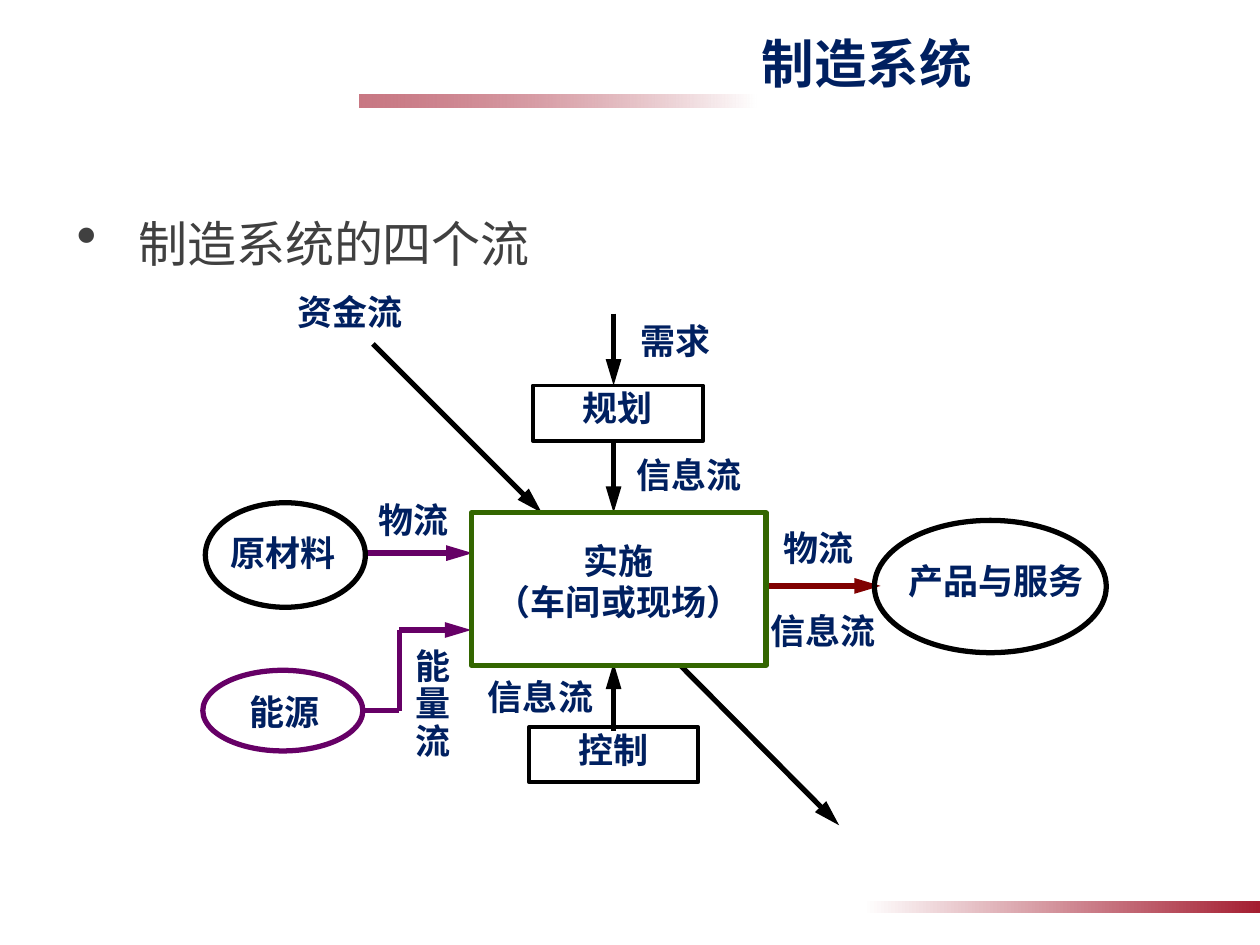
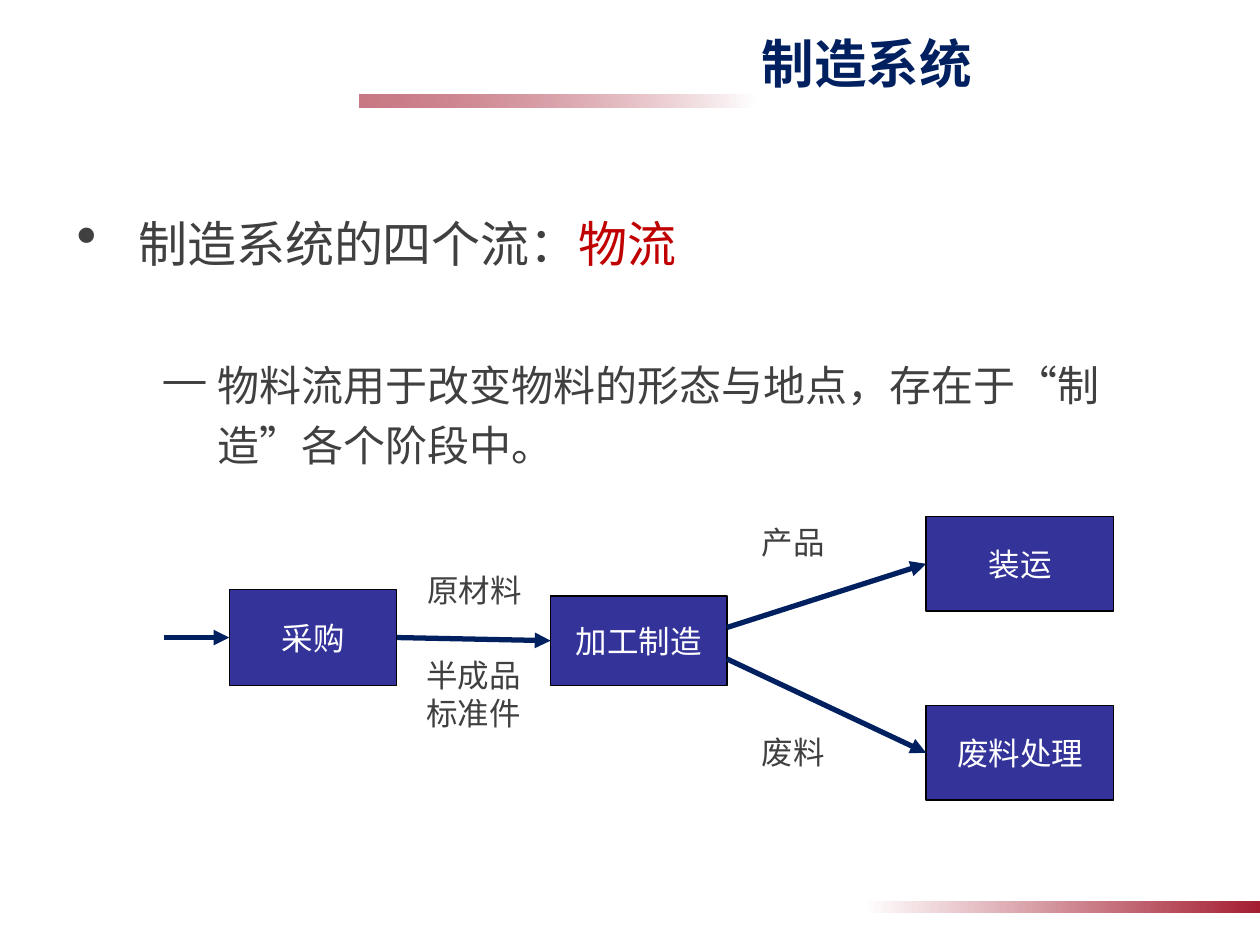
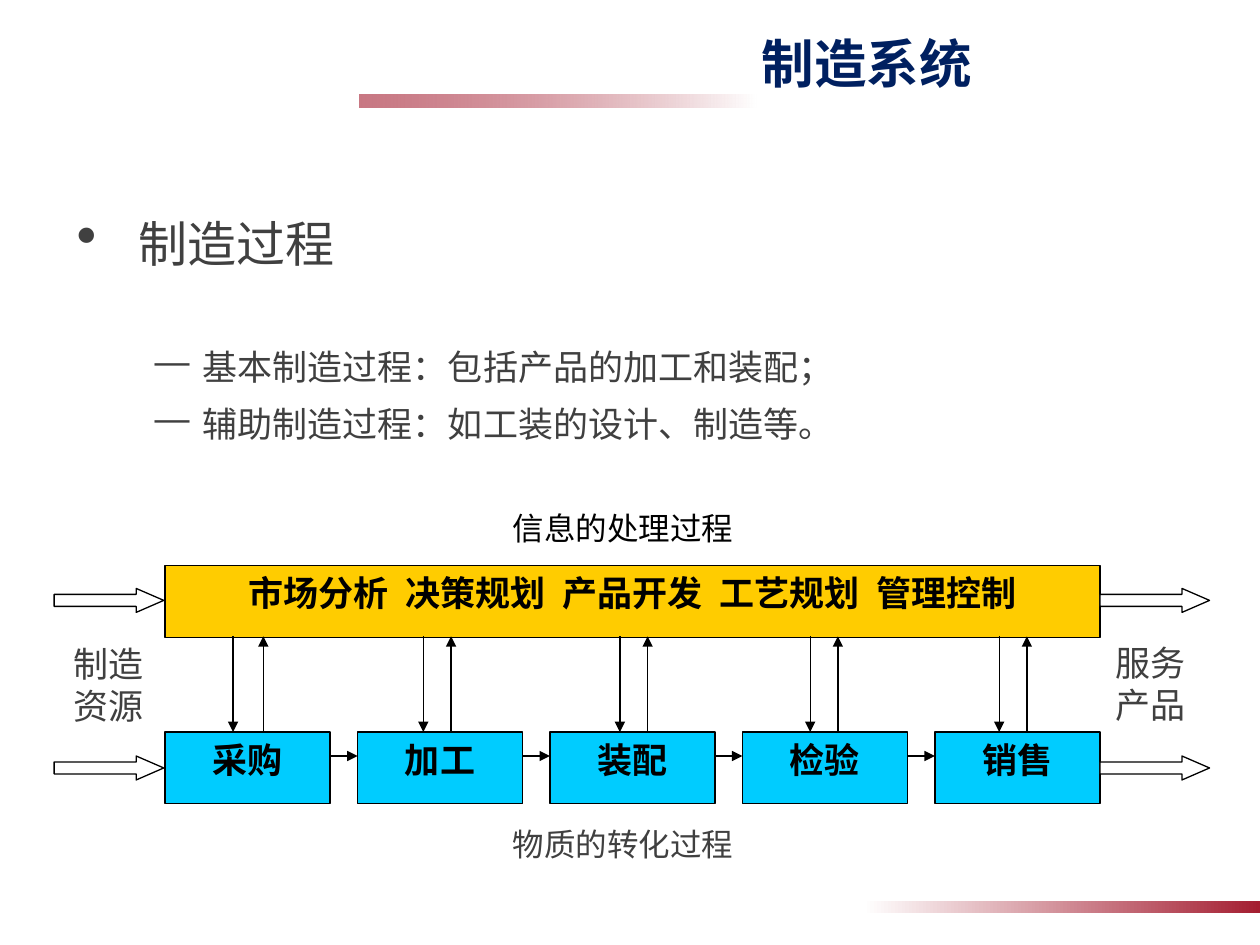
"""Build three slides on manufacturing systems, their flows and processes."""
from dataclasses import dataclass
from typing import Optional

import lxml.etree
import pptx
import pptx.dml.color
import pptx.dml.fill
import pptx.enum.shapes
import pptx.enum.text
import pptx.oxml.ns
import pptx.shapes.autoshape
import pptx.shapes.connector
import pptx.slide
import pptx.text.text
import pptx.util

Inches = pptx.util.Inches
Pt = pptx.util.Pt
qn = pptx.oxml.ns.qn
SHAPE = pptx.enum.shapes.MSO_SHAPE
ANCHOR = pptx.enum.text.MSO_ANCHOR
CENTER = pptx.enum.text.PP_ALIGN.CENTER

SANS = "Noto Sans CJK SC"
SERIF = "Times New Roman"
COLORS = {
    "navy": "002060", "grey": "404040", "emphasis": "C00000",
    "white": "FFFFFF", "black": "000000", "band": "A41E31",
    "energy": "660066", "output": "800000", "execution": "336600",
    "logistics": "333399", "information": "FFCC00", "stage": "00CCFF",
}
TOP, LEFT, RIGHT = 0, 1, 3
INSETS = (0.1, 0.05, 0.1, 0.05)


@dataclass(frozen=True)
class Style:
    size: float
    color: str
    face: str = SANS
    bold: bool = False
    spacing: Optional[float] = None
    before: float = 0


@dataclass(frozen=True)
class Node:
    area: tuple[float, float, float, float]
    text: str = ""
    style: Optional[Style] = None
    kind: Optional[SHAPE] = SHAPE.RECTANGLE
    fill: Optional[str] = None
    line: Optional[str] = None
    weight: float = 0.75
    insets: tuple[float, float, float, float] = INSETS
    middle: bool = False
    wrap: bool = True


@dataclass(frozen=True)
class Arrow:
    start: tuple[float, float]
    end: tuple[float, float]
    color: str = "black"
    weight: float = 3
    head: str = "med"
    source: Optional[tuple[str, int]] = None
    target: Optional[tuple[str, int]] = None


@dataclass(frozen=True)
class Bullet:
    text: str
    size: float
    margin: float
    hanging: float
    mark: str = "―"
    before: float = 0
    level: int = 1
    emphasis: str = ""


@dataclass(frozen=True)
class Stage:
    name: str
    down: float
    up: float


TITLE = Style(30, "navy", bold=True)
FLOW = Style(20, "navy", SERIF, True)
TIGHT = Style(20, "navy", SERIF, True, 0.9, 2)
LOGISTICS = Style(18, "white")
NOTE = Style(18, "grey")
PROCESS = Style(20, "black", SERIF, True)
SIDE = Style(20, "grey")


def rgb(name: str) -> pptx.dml.color.RGBColor:
    return pptx.dml.color.RGBColor.from_string(COLORS[name])


def paint(fill: pptx.dml.fill.FillFormat, color: Optional[str]) -> None:
    if color is None:
        fill.background()
    else:
        fill.solid()
        fill.fore_color.rgb = rgb(color)


def set_font(paragraph: pptx.text.text._Paragraph, style: Style) -> None:
    font = paragraph.font
    font.size, font.bold, font.name = Pt(style.size), style.bold, style.face
    font.color.rgb = rgb(style.color)
    defaults = paragraph._p.get_or_add_pPr().find(qn("a:defRPr"))
    lxml.etree.SubElement(defaults, qn("a:ea"), typeface=SANS)


def write_words(paragraph: pptx.text.text._Paragraph, text: str) -> None:
    for position, word in enumerate(text.split(" ")):
        if position:
            gap = paragraph.add_run()
            gap.text = " "
            gap._r.get_or_add_rPr().set("spc", "500")
        paragraph.add_run().text = word


def draw_node(slide: pptx.slide.Slide, node: Node) -> pptx.shapes.autoshape.Shape:
    area = [Inches(length) for length in node.area]
    if node.kind is None:
        drawn = slide.shapes.add_textbox(*area)
    else:
        drawn = slide.shapes.add_shape(node.kind, *area)
        drawn.shadow.inherit = False
        paint(drawn.fill, node.fill)
        paint(drawn.line.fill, node.line)
        if node.line:
            drawn.line.width = Pt(node.weight)
    if node.style is None:
        return drawn
    frame = drawn.text_frame
    frame.word_wrap = node.wrap
    frame.vertical_anchor = ANCHOR.MIDDLE if node.middle else ANCHOR.TOP
    (frame.margin_left, frame.margin_top,
     frame.margin_right, frame.margin_bottom) = map(Inches, node.insets)
    for number, line in enumerate(node.text.split("\n")):
        paragraph = frame.add_paragraph() if number else frame.paragraphs[0]
        paragraph.alignment = CENTER
        paragraph.line_spacing = node.style.spacing
        if number:
            paragraph.space_before = Pt(node.style.before)
        write_words(paragraph, line)
        set_font(paragraph, node.style)
    return drawn


def draw_nodes(slide: pptx.slide.Slide,
               nodes: list[Node]) -> dict[str, pptx.shapes.autoshape.Shape]:
    return {node.text: draw_node(slide, node) for node in nodes}


def label(text: str, area: tuple[float, float, float, float],
          style: Style = FLOW, wrap: bool = True) -> Node:
    return Node(area, text, style, kind=None, wrap=wrap)


def draw_arrow(slide: pptx.slide.Slide, arrow: Arrow,
               nodes: Optional[dict[str, pptx.shapes.autoshape.Shape]] = None) -> None:
    drawn = slide.shapes.add_connector(
        pptx.enum.shapes.MSO_CONNECTOR.STRAIGHT,
        *map(Inches, arrow.start + arrow.end))
    if nodes and arrow.source:
        drawn.begin_connect(nodes[arrow.source[0]], arrow.source[1])
    if nodes and arrow.target:
        drawn.end_connect(nodes[arrow.target[0]], arrow.target[1])
    drawn.line.color.rgb = rgb(arrow.color)
    drawn.line.width = Pt(arrow.weight)
    if arrow.head:
        lxml.etree.SubElement(drawn.line._get_or_add_ln(), qn("a:tailEnd"),
                              type="triangle", len=arrow.head)
    lxml.etree.SubElement(drawn._element.spPr, qn("a:effectLst"))


def draw_band(slide: pptx.slide.Slide, left: float, top: float,
              rotation: float = 0, opacity: int = 100) -> None:
    band = draw_node(slide, Node((left, top, 3.15, 0.1)))
    band.rotation = rotation
    band.fill.gradient()
    band.fill.gradient_angle = 0
    for stop, color, position in zip(band.fill.gradient_stops, ("white", "band"), (0, 1)):
        stop.color.rgb = rgb(color)
        stop.position = position
    if opacity < 100:
        tint = band._element.spPr.findall(".//" + qn("a:srgbClr"))[-1]
        lxml.etree.SubElement(tint, qn("a:alpha"), val=str(opacity * 1000))


def write_bullet(paragraph: pptx.text.text._Paragraph, bullet: Bullet) -> None:
    paragraph.level = bullet.level
    properties = paragraph._p.get_or_add_pPr()
    properties.set("marL", str(Inches(bullet.margin)))
    properties.set("indent", str(-Inches(bullet.hanging)))
    tint = lxml.etree.SubElement(properties, qn("a:buClr"))
    lxml.etree.SubElement(tint, qn("a:srgbClr"), val=COLORS["grey"])
    if bullet.level == 0:
        lxml.etree.SubElement(properties, qn("a:buSzPct"), val="120000")
    lxml.etree.SubElement(properties, qn("a:buChar"), char=bullet.mark)
    paragraph.line_spacing = 1.2
    paragraph.space_before = Pt(bullet.before)
    paragraph.add_run().text = bullet.text
    if bullet.emphasis:
        stressed = paragraph.add_run()
        stressed.text = bullet.emphasis
        stressed.font.color.rgb = rgb("emphasis")
    set_font(paragraph, Style(bullet.size, "grey"))


def heading(text: str, emphasis: str = "") -> Bullet:
    return Bullet(text, 28, 0.49, 0.49, "•", level=0, emphasis=emphasis)


def start_slide(deck, bullets: list[Bullet]) -> pptx.slide.Slide:
    slide = deck.slides.add_slide(deck.slide_layouts[6])
    draw_band(slide, 2.85, 0.75, rotation=180, opacity=60)
    draw_band(slide, 6.85, 7.15)
    outline = slide.shapes.add_textbox(*map(Inches, (0.51, 1.55, 8.74, 4.5))).text_frame
    outline.word_wrap = True
    for number, bullet in enumerate(bullets):
        write_bullet(outline.add_paragraph() if number else outline.paragraphs[0], bullet)
    draw_node(slide, Node((3.76, 0.21, 6.24, 0.63), "制造系统", TITLE, kind=None,
                          insets=(0.08, 0.04, 0.08, 0.05)))
    return slide


def build_four_flows(deck) -> None:
    slide = start_slide(deck, [heading("制造系统的四个流")])
    axis = 4.87
    for arrow in (
        Arrow((2.89, 5.64), (3.17, 5.64), "energy", head=""),
        Arrow((3.17, 5.64), (3.17, 5), "energy", head=""),
        Arrow((3.17, 5), (3.74, 5), "energy", head="lg"),
        Arrow((2.89, 4.39), (3.75, 4.39), "energy", head="lg"),
        Arrow((6.07, 4.65), (6.99, 4.65), "output", head="lg"),
        Arrow((2.96, 2.73), (4.3, 4.07), head="lg"),
        Arrow((5.32, 5.2), (6.66, 6.55), head="lg"),
        Arrow((axis, 2.49), (axis, 3.06), head="lg"),
        Arrow((axis, 3.5), (axis, 4.07), head="lg"),
        Arrow((axis, 5.8), (axis, 5.26), head="lg"),
    ):
        draw_arrow(slide, arrow)
    step_insets = (0.1, 0.05, 0.1, 0.09)
    draw_nodes(slide, [
        Node((4.23, 3.06, 1.35, 0.44), "规划", TIGHT, line="black",
             weight=2.25, insets=step_insets),
        Node((4.2, 5.77, 1.34, 0.44), "控制", TIGHT, line="black",
             weight=2.25, insets=step_insets),
        Node((3.74, 4.07, 2.34, 1.21), "实施\n（车间或现场）", TIGHT, fill="white",
             line="execution", weight=3, insets=(0.1, 0.25, 0.1, 0.29)),
        Node((1.63, 3.99, 1.27, 0.83), kind=SHAPE.OVAL, line="black", weight=3),
        Node((6.94, 4.13, 1.84, 1.05), kind=SHAPE.OVAL, line="black", weight=3),
        Node((1.61, 5.32, 1.27, 0.64), kind=SHAPE.OVAL, line="energy", weight=3),
        label("原材料", (1.72, 4.17, 1.06, 0.43)),
        label("产品与服务", (7.09, 4.39, 1.63, 0.43)),
        label("能源", (1.73, 5.43, 1.06, 0.43)),
        label("资金流", (2.25, 2.26, 1.06, 0.43)),
        label("需求", (4.94, 2.49, 0.85, 0.43)),
        label("物流", (2.82, 3.91, 0.92, 0.43)),
        label("物流", (6.04, 4.13, 0.92, 0.43)),
        label("信息流", (4.87, 3.55, 1.2, 0.43)),
        label("信息流", (3.69, 5.31, 1.2, 0.43)),
        label("信息流", (5.93, 4.79, 1.2, 0.43)),
        label("能量流", (3.15, 5.1, 0.57, 1), TIGHT),
    ])


def build_material_flow(deck) -> None:
    slide = start_slide(deck, [
        heading("制造系统的四个流：", "物流"),
        Bullet("物料流用于改变物料的形态与地点，存在于“制造”各个阶段中。",
               24, 1.12, 0.43, before=44),
    ])
    steps = {
        "采购": (1.82, 4.68, 1.33, 0.76),
        "加工制造": (4.37, 4.73, 1.4, 0.71),
        "装运": (7.35, 4.1, 1.49, 0.75),
        "废料处理": (7.35, 5.6, 1.49, 0.75),
    }
    nodes = draw_nodes(slide, [
        Node(area, name, LOGISTICS, fill="logistics", line="black", middle=True, wrap=False)
        for name, area in steps.items()
    ])
    for arrow in (
        Arrow((1.3, 5.06), (1.82, 5.06), "navy", target=("采购", LEFT)),
        Arrow((3.15, 5.06), (4.37, 5.06), "navy",
              source=("采购", RIGHT), target=("加工制造", LEFT)),
        Arrow((5.77, 4.98), (7.35, 4.48), "navy", target=("装运", LEFT)),
        Arrow((5.77, 5.23), (7.35, 5.98), "navy", target=("废料处理", LEFT)),
    ):
        draw_arrow(slide, arrow, nodes)
    draw_nodes(slide, [
        label("原材料", (3.11, 4.48, 1.31, 0.4), NOTE),
        label("半成品\n标准件", (3.28, 5.16, 0.96, 0.71), NOTE, wrap=False),
        label("产品", (5.94, 4.1, 0.71, 0.4), NOTE, wrap=False),
        label("废料", (5.94, 5.77, 0.71, 0.4), NOTE, wrap=False),
    ])


def build_process(deck) -> None:
    slide = start_slide(deck, [
        heading("制造过程"),
        Bullet("基本制造过程：包括产品的加工和装配；", 20, 1, 0.38, before=37),
        Bullet("辅助制造过程：如工装的设计、制造等。", 20, 1, 0.38, before=4),
    ])
    left, right, width, height = 1.31, 8.73, 1.31, 0.57
    information_top, stage_top, information_bottom = 4.49, 5.81, 5.05
    stages = [
        Stage("采购", 1.85, 2.09), Stage("加工", 3.36, 3.58), Stage("装配", 4.92, 5.14),
        Stage("检验", 6.43, 6.65), Stage("销售", 7.93, 8.15),
    ]
    pitch = (right - left - width) / (len(stages) - 1)
    draw_node(slide, Node((left, information_top, right - left, height),
                          "市场分析 决策规划 产品开发 工艺规划 管理控制",
                          PROCESS, fill="information", line="black"))
    for number, stage in enumerate(stages):
        stage_left = left + number * pitch
        draw_node(slide, Node((stage_left, stage_top, width, height), stage.name,
                              PROCESS, fill="stage", line="black"))
        draw_arrow(slide, Arrow((stage.down, information_bottom),
                                (stage.down, stage_top), weight=0.75))
        draw_arrow(slide, Arrow((stage.up, stage_top),
                                (stage.up, information_bottom), weight=0.75))
        if number:
            draw_arrow(slide, Arrow((stage_left - pitch + width, 6),
                                    (stage_left, 6), weight=0.75))
    for flow_left in (0.43, right):
        for flow_top in (4.67, 6):
            flow = draw_node(slide, Node((flow_left, flow_top, 0.87, 0.19),
                                         kind=SHAPE.RIGHT_ARROW, fill="white", line="black"))
            flow.adjustments[0], flow.adjustments[1] = 0.5, 1.15
    draw_nodes(slide, [
        label("制造资源", (0.43, 5.05, 0.87, 0.95), SIDE),
        label("服务产品", (8.68, 5.04, 0.91, 0.85), SIDE),
        label("物质的转化过程", (3.96, 6.5, 1.97, 0.4), NOTE, wrap=False),
        label("信息的处理过程", (3.96, 3.99, 1.97, 0.4), Style(18, "black"), wrap=False),
    ])


def main() -> None:
    deck = pptx.Presentation()
    deck.slide_width, deck.slide_height = Inches(10), Inches(7.5)
    build_four_flows(deck)
    build_material_flow(deck)
    build_process(deck)
    deck.save("out.pptx")


if __name__ == "__main__":
    main()
